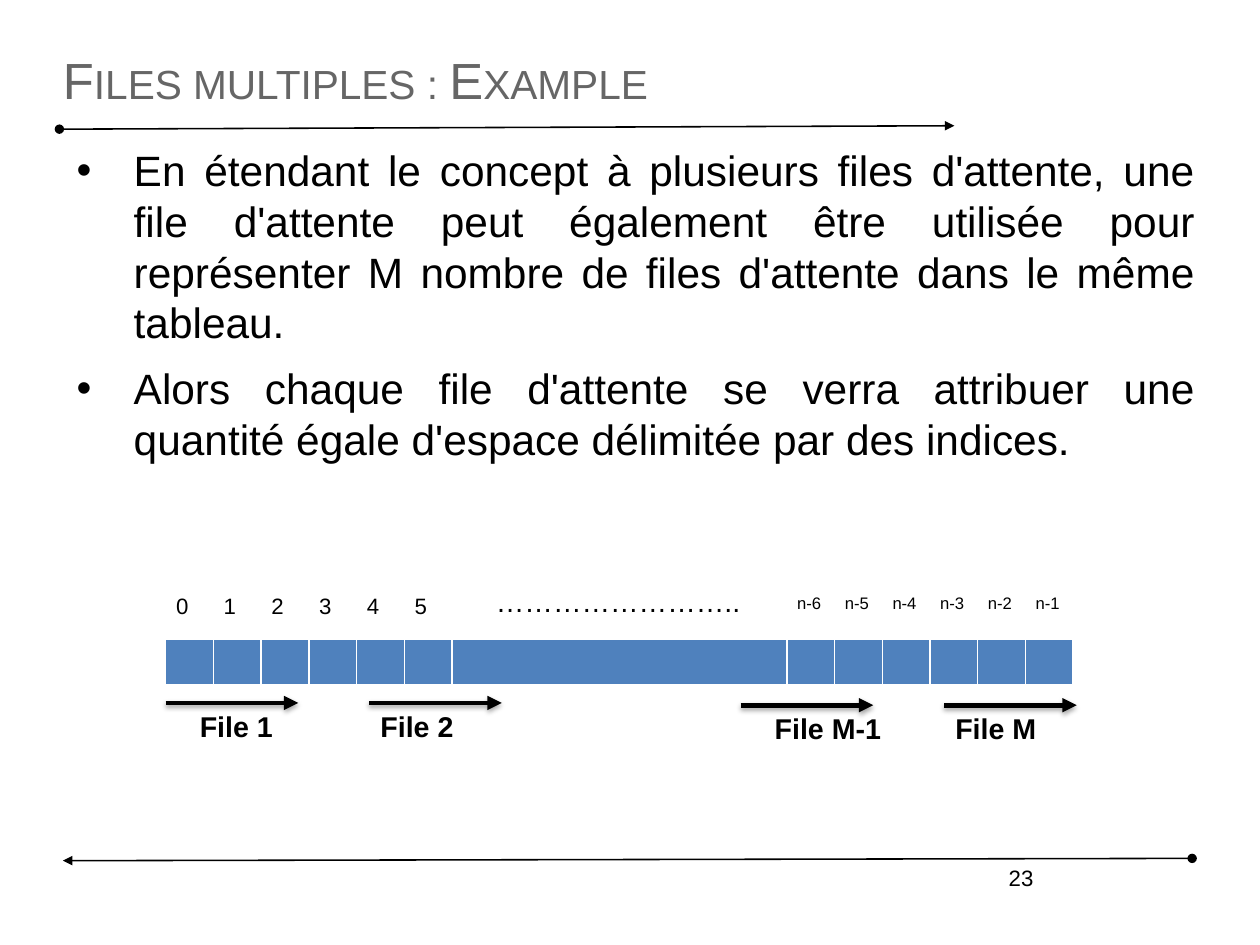
from lxml import etree
from pptx import Presentation
from pptx.dml.color import RGBColor
from pptx.enum.shapes import MSO_CONNECTOR
from pptx.enum.text import MSO_ANCHOR, PP_ALIGN
from pptx.oxml.ns import qn
from pptx.util import Cm, Emu, Inches, Pt

STRAIGHT = MSO_CONNECTOR.STRAIGHT
TOP, MIDDLE = MSO_ANCHOR.TOP, MSO_ANCHOR.MIDDLE
LEFT, RIGHT, JUSTIFY = PP_ALIGN.LEFT, PP_ALIGN.RIGHT, PP_ALIGN.JUSTIFY

TITLE = "Files multiples : Example"
BULLETS = [
    "En étendant le concept à plusieurs files d'attente, une file d'attente peut "
    "également être utilisée pour représenter M nombre de files d'attente dans le "
    "même tableau.",
    "Alors chaque file d'attente se verra attribuer une quantité égale d'espace "
    "délimitée par des indices.",
]
PAGE_NUMBER = "23"
DOTS = "…………………….."
FIRST_INDICES = ["0", "1", "2", "3", "4", "5"]
LAST_INDICES = ["n-6", "n-5", "n-4", "n-3", "n-2", "n-1"]
# label, label left, label width, arrow left, top
QUEUES = [
    ("File 1", 1.65, 0.88, 1.45, 6.15),
    ("File 2", 3.23, 0.85, 3.23, 6.15),
    ("File M-1", 6.68, 1.16, 6.48, 6.17),
    ("File M", 8.26, 0.93, 8.26, 6.17),
]
RULES = [((0.52, 1.13), (8.35, 1.1)), ((10.43, 7.51), (0.55, 7.53))]

THEME = {
    "font": "Arial", "text": "000000", "title": "666666", "cell": "4F81BD",
    "border": "FFFFFF", "title_size": 32, "body_size": 26.7, "label_size": 18,
    "index_size": 14, "small_size": 10.5,
}
ARRAY_WIDTH, GAP_WIDTH, ROW_HEIGHT = 7.94, 2.93, 0.41
CELL_WIDTH = (ARRAY_WIDTH - GAP_WIDTH) / (len(FIRST_INDICES) + len(LAST_INDICES))
ARROW_LENGTH = 1.16
NO_STYLE = "{2D5ABB26-0587-4C30-8999-92F81FD0307C}"
NO_MARGIN, BOX_MARGIN = (0, 0, 0, 0), (0.1, 0.05, 0.1, 0.05)


def add_xml(parent, tag, **attrs):
    return etree.SubElement(parent, qn(tag), {k: str(v) for k, v in attrs.items()})


def write(tf, texts, size, color=THEME["text"], bold=False, align=LEFT,
          small_caps=False, bullet=False):
    for i, text in enumerate(texts):
        p = tf.paragraphs[0] if i == 0 else tf.add_paragraph()
        p.alignment = align
        if bullet:
            p.space_before = Pt(9.4)
            pPr = p._p.get_or_add_pPr()
            pPr.set("marL", str(Inches(0.62)))
            pPr.set("indent", str(Inches(-0.5)))
            add_xml(pPr, "a:buFont", typeface=THEME["font"])
            add_xml(pPr, "a:buChar", char="•")
        r = p.add_run()
        r.text = text
        r.font.name, r.font.size, r.font.bold = THEME["font"], Pt(size), bold
        r.font.color.rgb = RGBColor.from_string(color)
        if small_caps:
            r.font._element.set("cap", "small")


def add_text(s, box, texts, size, margins=BOX_MARGIN, anchor=TOP, wrap=True, **fmt):
    tf = s.shapes.add_textbox(*map(Inches, box)).text_frame
    tf.word_wrap, tf.vertical_anchor = wrap, anchor
    (tf.margin_left, tf.margin_top,
     tf.margin_right, tf.margin_bottom) = map(Inches, margins)
    write(tf, texts, size, **fmt)


def add_arrow(s, start, end, width, head=None, shadow=False):
    line = s.shapes.add_connector(STRAIGHT, *map(Inches, start + end))
    line.line.width = Pt(width)
    line.line.color.rgb = RGBColor.from_string(THEME["text"])
    ln = line.line._get_or_add_ln()
    if head:
        add_xml(ln, "a:headEnd", type=head)
    add_xml(ln, "a:tailEnd", type="triangle")
    effects = add_xml(line._element.spPr, "a:effectLst")
    if shadow:
        outer = add_xml(effects, "a:outerShdw", blurRad=Pt(3.1), dist=Pt(1.8),
                        dir=90 * 60000, rotWithShape=0)
        add_xml(add_xml(outer, "a:srgbClr", val=THEME["text"]), "a:alpha", val=35000)


def add_row(s, left, top):
    """Add a one-row table with the columns of the array; return its cells."""
    widths = ([CELL_WIDTH] * len(FIRST_INDICES) + [GAP_WIDTH]
              + [CELL_WIDTH] * len(LAST_INDICES))
    table = s.shapes.add_table(1, len(widths), Inches(left), Inches(top),
                               Inches(ARRAY_WIDTH), Inches(ROW_HEIGHT)).table
    table.first_row = table.horz_banding = False
    table._tbl.tblPr.find(qn("a:tableStyleId")).text = NO_STYLE
    for column, width in zip(table.columns, widths):
        column.width = Emu(Inches(width))
    return list(table.rows[0].cells)


def add_array(s):
    for cell in add_row(s, 1.45, 5.59):
        tcPr = cell._tc.get_or_add_tcPr()
        for side, width in (("L", 1), ("R", 1), ("T", 1), ("B", 3)):
            ln = add_xml(tcPr, "a:ln" + side, w=Pt(width))
            add_xml(add_xml(ln, "a:solidFill"), "a:srgbClr", val=THEME["border"])
        cell.fill.solid()
        cell.fill.fore_color.rgb = RGBColor.from_string(THEME["cell"])


def add_indices(s):
    cells = add_row(s, 1.44, 5.15)
    labels = ([(t, THEME["index_size"]) for t in FIRST_INDICES] + [None]
              + [(t, THEME["small_size"]) for t in LAST_INDICES])
    for cell, label in zip(cells, labels):
        cell.fill.background()
        cell.margin_right = 0
        if label:
            text, size = label
            write(cell.text_frame, [text], size)


def main():
    prs = Presentation()
    prs.slide_width, prs.slide_height = Cm(28), Cm(21)
    s = prs.slides.add_slide(prs.slide_layouts[6])

    for start, end in RULES:
        add_arrow(s, start, end, 1, head="oval")
    add_text(s, (6.57, 7.51, 2.57, 0.57), [PAGE_NUMBER], THEME["index_size"],
             align=RIGHT)
    add_text(s, (0.55, 0.33, 9.92, 0.72), [TITLE], THEME["title_size"], NO_MARGIN,
             MIDDLE, color=THEME["title"], small_caps=True)
    add_text(s, (0.55, 1.26, 9.92, 4.35), BULLETS, THEME["body_size"], NO_MARGIN,
             align=JUSTIFY, bullet=True)

    add_array(s)
    add_indices(s)
    add_text(s, (4.24, 5.06, 2.34, 0.4), [DOTS], THEME["label_size"])
    for label, left, width, arrow_left, top in QUEUES:
        add_text(s, (left, top, width, 0.4), [label], THEME["label_size"],
                 wrap=False, bold=True)
        add_arrow(s, (arrow_left, top), (arrow_left + ARROW_LENGTH, top), 3,
                  shadow=True)
    prs.save("out.pptx")


if __name__ == "__main__":
    main()
